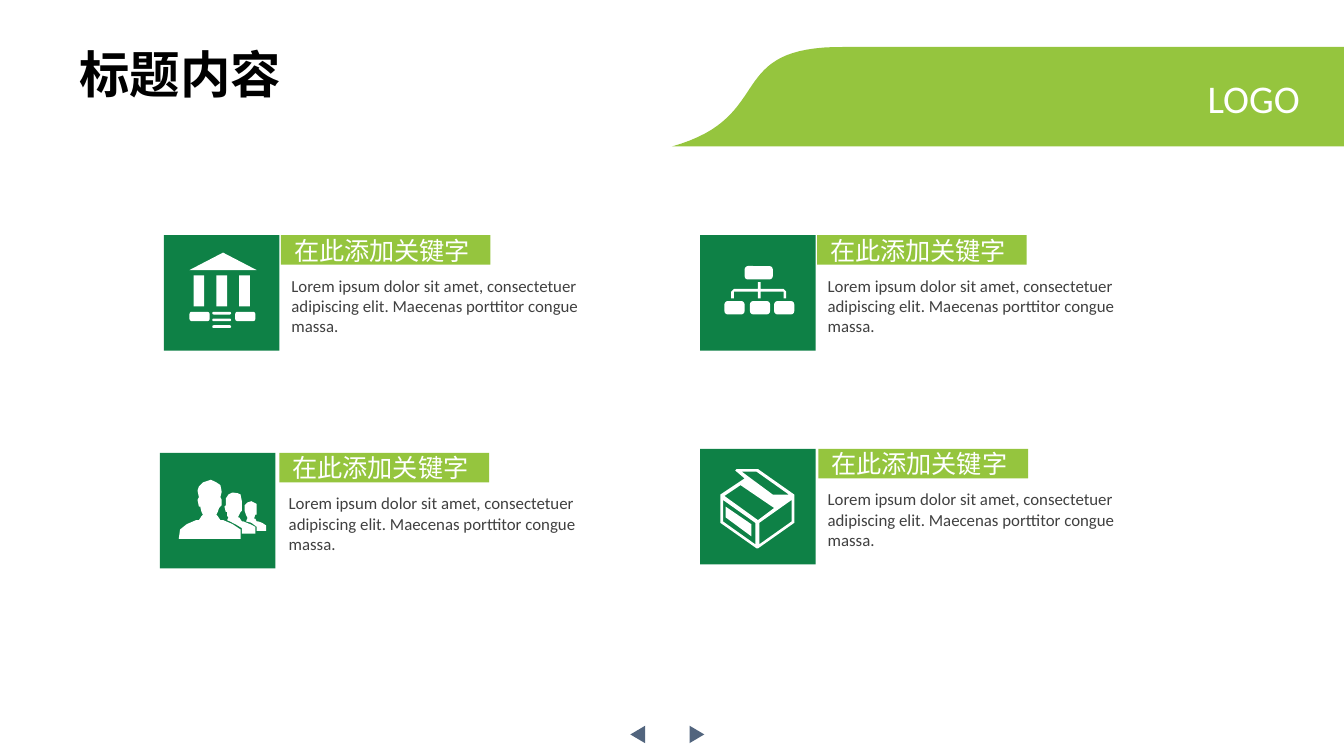
from pptx import Presentation, util as u
from pptx.dml.color import RGBColor
from pptx.enum import shapes, text

GREEN, LIME, WHITE, SLATE, GREY = "0E8146", "95C53E", "FFFFFF", "52657E", "404040"
SHAPE = shapes.MSO_SHAPE
KEYWORD = "在此添加关键字"
BODY = ("Lorem ipsum dolor sit amet, consectetuer adipiscing elit. "
        "Maecenas porttitor congue massa.")

PEOPLE = [
    [(54, 53), (47, 50), (45, 50), (43, 47), (42, 46), (43, 44), (44, 41), (46, 39),
     (46, 35), (45, 33), (46, 29), (45, 24), (42, 22), (38, 20), (32, 22), (29, 25),
     (28, 28), (29, 33), (28, 35), (29, 40), (30, 40), (31, 44), (32, 46), (31, 47),
     (29, 50), (27, 50), (20, 53), (15, 57), (14, 64), (60, 64), (60, 57)],
    [(67, 53), (62, 51), (61, 51), (59, 48), (58, 48), (59, 46), (60, 44), (61, 43),
     (61, 36), (60, 31), (58, 30), (54, 29.5), (51, 31), (49, 34), (49, 39), (48, 40),
     (49, 44), (50, 44), (50, 47), (51, 48), (50, 50), (52, 51), (56, 53), (61, 56),
     (61, 60), (71, 60), (71, 55)],
    [(79, 54), (76, 52), (73, 51), (72, 51), (71, 49), (70, 49), (71, 46), (72, 46),
     (72, 38), (70, 37), (68, 36), (65, 37), (63, 39), (63, 43), (64, 46), (65, 48),
     (65, 49), (64, 51), (68, 52), (72, 55), (72, 58), (79, 58)],
]
CARTON = [
    [(70, 35), (70, 34), (43, 15), (27, 15), (26, 16), (33, 22), (15, 34), (15, 55),
     (42, 74), (43, 74), (70, 55)],
    [(31, 17), (42, 17), (66, 34), (54, 34)],
    [(17, 54), (17, 38), (41, 55), (41, 71)],
    [(43, 53), (18, 35), (30, 27), (55, 44)],
    [(68, 54), (44, 71), (44, 55), (68, 38)],
    [(38, 56), (19, 43), (19, 51), (38, 65)],
]
BRACKET = [(23, 47), (23, 42), (25, 40), (43, 40), (43, 35), (45, 35), (45, 40), (62, 40),
           (64, 42), (64, 47), (62, 47), (62, 42), (45, 42), (45, 47), (43, 47), (43, 42),
           (25, 42), (25, 47)]


def rgb(value):
    return RGBColor.from_string(value)


def paint(sp, color):
    sp.shadow.inherit = False
    sp.fill.solid()
    sp.fill.fore_color.rgb = rgb(color)
    sp.line.fill.background()
    return sp


def add_box(s, kind, x, y, w, h, color):
    return paint(s.shapes.add_shape(
        kind, u.Inches(x), u.Inches(y), u.Inches(w), u.Inches(h)), color)


def add_round(s, x, y, w, h, corner=0.25):
    sp = add_box(s, SHAPE.ROUNDED_RECTANGLE, x, y, w, h, WHITE)
    sp.adjustments[0] = corner


def add_outline(s, x, y, contours, color, unit=0.01):
    placed = [[(u.Inches(x + px * unit), u.Inches(y + py * unit)) for px, py in c]
              for c in contours]
    fb = s.shapes.build_freeform(*placed[0][0])
    for i, points in enumerate(placed):
        if i:
            fb.move_to(*points[0])
        fb.add_line_segments(points[1:], close=True)
    paint(fb.convert_to_shape(), color)


def write(sp, content, size, color, bold=False, align=text.PP_ALIGN.LEFT,
          anchor=text.MSO_ANCHOR.TOP, wrap=True):
    tf = sp.text_frame
    tf.word_wrap = wrap
    tf.vertical_anchor = anchor
    p = tf.paragraphs[0]
    p.alignment = align
    r = p.add_run()
    r.text = content
    r.font.name, r.font.size, r.font.bold = "Calibri", u.Pt(size), bold
    r.font.color.rgb = rgb(color)


def add_text(s, x, y, w, h, content, size, color, **options):
    sp = s.shapes.add_textbox(u.Inches(x), u.Inches(y), u.Inches(w), u.Inches(h))
    write(sp, content, size, color, **options)


def bezier(a, b, c, d, steps=32):
    curve = []
    for i in range(steps + 1):
        t = i / steps
        k = 1 - t
        curve.append(tuple(k**3 * m + 3 * k * k * t * n + 3 * k * t * t * o + t**3 * q
                           for m, n, o, q in zip(a, b, c, d)))
    return curve


def header(s, x, y, w, h):
    edge = bezier((0, h), (0.79, 0.52), (0.37, -0.01), (1.29, 0))
    add_outline(s, x, y, [edge + [(w, 0), (w, h)]], LIME, unit=1)
    add_text(s, x + 3.88, y + 0.15, 0.89, 0.45, "LOGO", 21, WHITE,
             align=text.PP_ALIGN.RIGHT, wrap=False)


def title(s, x, y, w, h):
    sp = s.shapes.title
    sp.left, sp.top, sp.width, sp.height = map(u.Inches, (x, y, w, h))
    write(sp, "标题内容", 27, "000000", bold=True, wrap=False)


def bank_icon(s, x, y):
    add_outline(s, x, y, [[(19, 26), (69, 26), (44, 13)]], WHITE)
    for i in range(3):
        add_box(s, SHAPE.RECTANGLE, x + 0.22 + 0.17 * i, y + 0.3, 0.08, 0.23, WHITE)
        add_round(s, x + 0.36, y + 0.57 + 0.05 * i, 0.14, 0.02, 0.5)
    for dx in (0.19, 0.53):
        add_round(s, x + dx, y + 0.57, 0.15, 0.07)


def chart_icon(s, x, y):
    add_round(s, x + 0.33, y + 0.23, 0.21, 0.1)
    add_outline(s, x, y, [BRACKET], WHITE)
    for dx in (0.18, 0.37, 0.55):
        add_round(s, x + dx, y + 0.49, 0.15, 0.1)


def people_icon(s, x, y):
    add_outline(s, x, y, PEOPLE, WHITE)


def carton_icon(s, x, y):
    add_outline(s, x, y, CARTON, WHITE)


def card(s, x, y, icon, label_dx, body_dx):
    add_box(s, SHAPE.RECTANGLE, x, y, 0.86, 0.86, GREEN)
    icon(s, x, y)
    label = add_box(s, SHAPE.RECTANGLE, x + label_dx, y, 1.56, 0.22, LIME)
    write(label, KEYWORD, 13.5, WHITE, anchor=text.MSO_ANCHOR.MIDDLE)
    add_text(s, x + body_dx, y + 0.25, 2.6, 0.56, BODY, 9, GREY)


def pager(s, x, y):
    for dx, turn in ((0, 270), (0.44, 90)):
        add_box(s, SHAPE.ISOSCELES_TRIANGLE, x + dx, y, 0.13, 0.11, SLATE).rotation = turn


def main():
    prs = Presentation()
    prs.slide_width = u.Inches(10)
    prs.slide_height = prs.slide_width * 9 // 16
    s = prs.slides.add_slide(prs.slide_layouts[5])
    pager(s, 4.68, 5.41)
    header(s, 5, 0.35, 5, 0.74)
    title(s, 0.49, 0.27, 1.72, 0.56)
    for x, y, icon, label_dx, body_dx in (
            (1.22, 1.75, bank_icon, 0.87, 0.85),
            (5.21, 1.75, chart_icon, 0.87, 0.85),
            (1.19, 3.37, people_icon, 0.89, 0.86),
            (5.21, 3.34, carton_icon, 0.88, 0.85)):
        card(s, x, y, icon, label_dx, body_dx)
    prs.save("out.pptx")


if __name__ == "__main__":
    main()
